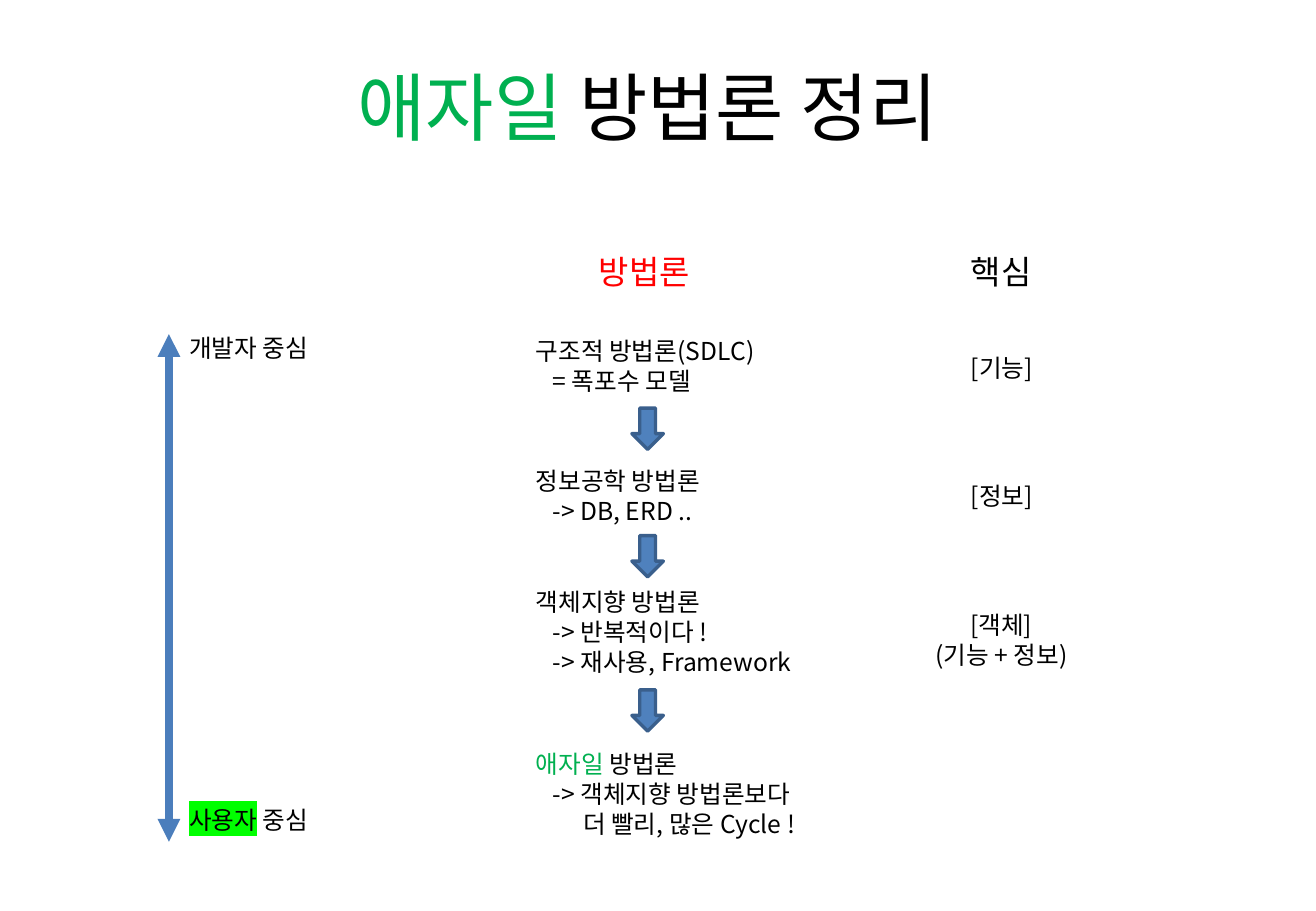
from pptx import Presentation
from pptx import util as u
from pptx.dml.color import RGBColor
from pptx.enum import shapes, text
from pptx.oxml.ns import qn
from lxml import etree

FONT = "Noto Sans CJK KR"
HUES = {"black": "000000", "red": "FF0000", "green": "00B050", "mark": "00FF00",
        "line": "4B7EBC", "fill": "4F81BD", "edge": "3A5F8C"}
ALIGN = text.PP_ALIGN


def write(frame, paras, size, align=ALIGN.LEFT):
    """Each paragraph is (indent in inches, [(words, colour, marked), ...])."""
    frame.word_wrap = True
    for i, (indent, runs) in enumerate(paras):
        para = frame.paragraphs[0] if i == 0 else frame.add_paragraph()
        para.alignment = align
        para.line_spacing = u.Pt(round(size * 1.22, 1))
        if indent:
            para._p.get_or_add_pPr().set("marL", str(u.Inches(indent)))
        for words, hue, marked in runs:
            run = para.add_run()
            run.text = words
            run.font.size = u.Pt(size)
            run.font.name = FONT
            run.font.color.rgb = RGBColor.from_string(HUES[hue])
            props = run._r.get_or_add_rPr()
            latin = props.find(qn("a:latin"))
            asian = etree.Element(qn("a:ea"), typeface=FONT)
            latin.addnext(asian)
            if marked:
                glow = etree.Element(qn("a:highlight"))
                etree.SubElement(glow, qn("a:srgbClr"), val=HUES["mark"])
                latin.addprevious(glow)


def label(left, top, width, height, paras, size=14.6, align=ALIGN.LEFT):
    box = slide.shapes.add_textbox(*map(u.Inches, (left, top, width, height)))
    write(box.text_frame, paras, size, align)
    box.text_frame.auto_size = text.MSO_AUTO_SIZE.SHAPE_TO_FIT_TEXT


deck = Presentation()
deck.slide_width, deck.slide_height = u.Inches(10.83), u.Inches(7.5)
slide = deck.slides.add_slide(deck.slide_layouts[0])

# Title
title = slide.shapes.title
title.left, title.top, title.width, title.height = map(u.Inches, (1.83, 0.34, 7, 0.95))
title.text_frame.vertical_anchor = text.MSO_ANCHOR.BOTTOM
write(title.text_frame, [(0, [("애자일", "green", False), (" 방법론 정리", "black", False)])],
      44, ALIGN.CENTER)
sub = slide.placeholders[1]._element
sub.getparent().remove(sub)

# Column heads
for left, width, words, hue in [(4.83, 1.02, "방법론", "red"), (7.89, 0.75, "핵심", "black")]:
    label(left, 2.02, width, 0.43, [(0, [(words, hue, False)])], 19.5)

# Methods, from the oldest to the newest
methods = [
    (2.71, 2.15, [("구조적 방법론(SDLC)", "black", False)], [(0.14, "= 폭포수 모델")]),
    (3.78, 1.88, [("정보공학 방법론", "black", False)], [(0.14, "-> DB, ERD ..")]),
    (4.78, 2.62, [("객체지향 방법론", "black", False)],
     [(0.14, "-> 반복적이다 !"), (0.14, "-> 재사용, Framework")]),
    (6.11, 2.62, [("애자일", "green", False), (" 방법론", "black", False)],
     [(0.14, "-> 객체지향 방법론보다"), (0.39, "더 빨리, 많은 Cycle !")]),
]
for top, width, head, notes in methods:
    paras = [(0, head)] + [(indent, [(words, "black", False)]) for indent, words in notes]
    label(4.31, top, width, 0.1 + 0.245 * len(paras), paras)

# Core idea of each method
for top, words in [(2.85, "[기능]"), (3.91, "[정보]")]:
    label(7.89, top, 0.74, 0.35, [(0, [(words, "black", False)])])
label(7.52, 4.97, 1.44, 0.59,
      [(0, [(words, "black", False)]) for words in ("[객체]", "(기능 + 정보)")],
      align=ALIGN.CENTER)

# Arrows between methods
for top in (3.36, 4.41, 5.68):
    arrow = slide.shapes.add_shape(shapes.MSO_SHAPE.DOWN_ARROW,
                                   *map(u.Inches, (5.2, top, 0.26, 0.34)))
    arrow.shadow.inherit = False
    arrow.fill.solid()
    arrow.fill.fore_color.rgb = RGBColor.from_string(HUES["fill"])
    arrow.line.color.rgb = RGBColor.from_string(HUES["edge"])
    arrow.line.width = u.Pt(2)

# Scale from developer to user
scale = slide.shapes.add_connector(shapes.MSO_CONNECTOR.STRAIGHT,
                                   *map(u.Inches, (1.39, 2.75, 1.39, 6.93)))
scale.line.color.rgb = RGBColor.from_string(HUES["line"])
scale.line.width = u.Pt(4.5)
for end in ("a:headEnd", "a:tailEnd"):
    etree.SubElement(scale.line._get_or_add_ln(), qn(end), type="triangle")
etree.SubElement(scale._element.spPr, qn("a:effectLst"))
label(1.46, 2.69, 1.37, 0.35, [(0, [("개발자 중심", "black", False)])])
label(1.46, 6.57, 1.37, 0.35, [(0, [("사용자", "black", True), (" 중심", "black", False)])])

deck.save("out.pptx")
